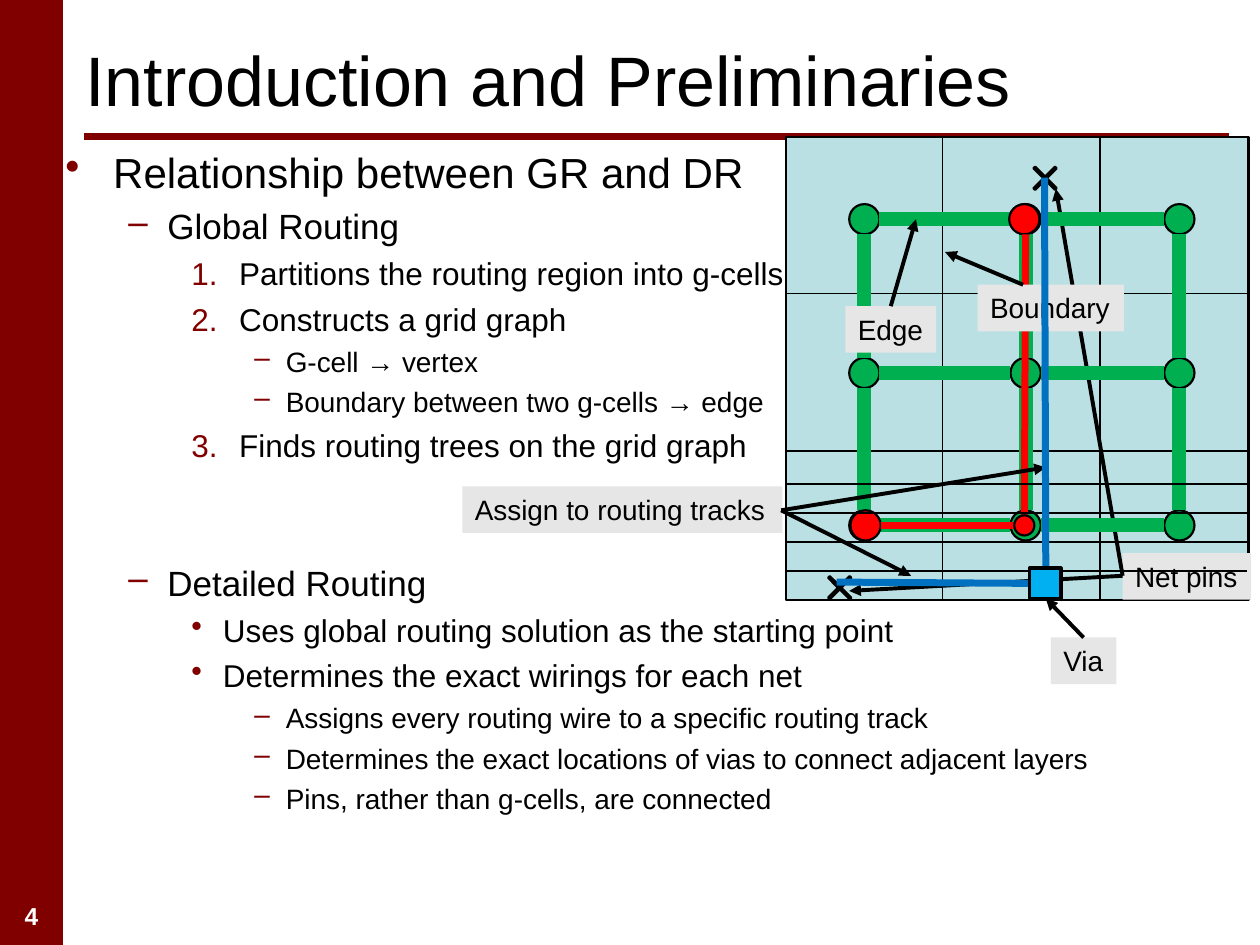
from dataclasses import dataclass

from lxml import etree
from pptx import Presentation
from pptx.dml.color import RGBColor
from pptx.enum.shapes import MSO_CONNECTOR, MSO_SHAPE
from pptx.enum.text import MSO_ANCHOR, MSO_AUTO_SIZE, PP_ALIGN
from pptx.oxml.ns import qn
from pptx.util import Inches, Pt

RECTANGLE, OVAL, CROSS = MSO_SHAPE.RECTANGLE, MSO_SHAPE.OVAL, MSO_SHAPE.MATH_MULTIPLY
STRAIGHT = MSO_CONNECTOR.STRAIGHT
MIDDLE, TOP = MSO_ANCHOR.MIDDLE, MSO_ANCHOR.TOP
LEFT, CENTER = PP_ALIGN.LEFT, PP_ALIGN.CENTER
FIT_SHAPE = MSO_AUTO_SIZE.SHAPE_TO_FIT_TEXT


@dataclass(frozen=True)
class Theme:
    font: str = "Arial"
    maroon: str = "800000"
    black: str = "000000"
    white: str = "FFFFFF"
    region: str = "BBE0E3"
    label: str = "E6E6E6"
    green: str = "00B050"
    red: str = "FF0000"
    blue: str = "0070C0"
    via: str = "00B0F0"
    title_size: int = 40
    label_size: int = 16
    number_size: int = 14
    level_sizes: tuple = (24, 20, 18, 16)
    space_ratio: float = 0.24


THEME = Theme()

# Level, bullet, left indent, hanging indent, text
OUTLINE = [
    (0, "•", 0.38, 0.38, "Relationship between GR and DR"),
    (1, "–", 0.81, 0.31, "Global Routing"),
    (2, "1.", 1.38, 0.38, "Partitions the routing region into g-cells"),
    (2, "1.", 1.38, 0.38, "Constructs a grid graph"),
    (3, "–", 1.75, 0.25, "G-cell → vertex"),
    (3, "–", 1.75, 0.25, "Boundary between two g-cells → edge"),
    (2, "1.", 1.38, 0.38, "Finds routing trees on the grid graph"),
    (1, "–", 0.81, 0.31, "Detailed Routing"),
    (2, "•", 1.25, 0.25, "Uses global routing solution as the starting point"),
    (2, "•", 1.25, 0.25, "Determines the exact wirings for each net"),
    (3, "–", 1.75, 0.25, "Assigns every routing wire to a specific routing track"),
    (3, "–", 1.75, 0.25, "Determines the exact locations of vias to connect adjacent layers"),
    (3, "–", 1.75, 0.25, "Pins, rather than g-cells, are connected"),
]
SECTION_GAP = {"Detailed Routing": 56}

NODE_XS, NODE_YS, NODE_RADIUS = (6.86, 8.14, 9.36), (1.74, 2.96, 4.17), 0.12


def set_format(target, values):
    for name, value in values.items():
        setattr(target, name, value)


def add_run(paragraph, text, size, color=THEME.black, bold=False):
    run = paragraph.add_run()
    run.text = text
    set_format(run.font, {"name": THEME.font, "size": Pt(size), "bold": bold})
    run.font.color.rgb = RGBColor.from_string(color)


def add_shape(slide, kind, left, top, width, height, fill, line_width=0):
    shape = slide.shapes.add_shape(kind, *map(Inches, (left, top, width, height)))
    shape.shadow.inherit = False
    shape.fill.solid()
    shape.fill.fore_color.rgb = RGBColor.from_string(fill)
    if line_width:
        shape.line.color.rgb = RGBColor.from_string(THEME.black)
        shape.line.width = Pt(line_width)
    else:
        shape.line.fill.background()
    return shape


def add_circle(slide, x, y, radius, fill):
    add_shape(slide, OVAL, x - radius, y - radius, 2 * radius, 2 * radius, fill, 1.25)


def add_line(slide, start, end, width, color=THEME.black, arrow=False):
    line = slide.shapes.add_connector(STRAIGHT, *map(Inches, (*start, *end)))
    line.line.color.rgb = RGBColor.from_string(color)
    line.line.width = Pt(width)
    if arrow:
        etree.SubElement(line.line._get_or_add_ln(), qn("a:tailEnd"), type="triangle")
    etree.SubElement(line._element.spPr, qn("a:effectLst"))


def add_text_box(slide, left, top, width, height, anchor):
    box = slide.shapes.add_textbox(*map(Inches, (left, top, width, height)))
    set_format(box.text_frame, {"word_wrap": True, "vertical_anchor": anchor})
    return box.text_frame


def add_label(slide, text, left, top, width, start=None, targets=()):
    shape = add_shape(slide, RECTANGLE, left, top, width, 0.37, THEME.label)
    frame = shape.text_frame
    set_format(frame, {"word_wrap": False, "auto_size": FIT_SHAPE, "vertical_anchor": TOP})
    frame.paragraphs[0].alignment = LEFT
    add_run(frame.paragraphs[0], text, THEME.label_size)
    for target in targets:
        add_line(slide, start, target, 2.25, arrow=True)


def add_bullet(paragraph, bullet, indent, hanging):
    properties = paragraph._p.get_or_add_pPr()
    properties.set("marL", str(Inches(indent)))
    properties.set("indent", str(-Inches(hanging)))
    color = etree.SubElement(properties, qn("a:buClr"))
    etree.SubElement(color, qn("a:srgbClr"), val=THEME.maroon)
    if bullet == "1.":
        etree.SubElement(properties, qn("a:buAutoNum"), type="arabicPeriod")
    else:
        etree.SubElement(properties, qn("a:buChar"), char=bullet)


def add_frame(slide):
    add_shape(slide, RECTANGLE, 0, 0, 0.5, 7.5, THEME.maroon)
    add_line(slide, (0.67, 1.08), (9.75, 1.08), 4, THEME.maroon)
    number = add_text_box(slide, 0, 7.1, 0.5, 0.33, MIDDLE).paragraphs[0]
    number.alignment = CENTER
    add_run(number, "4", THEME.number_size, THEME.white, bold=True)
    title = add_text_box(slide, 0.58, 0.08, 9.17, 1.08, MIDDLE)
    add_run(title.paragraphs[0], "Introduction and Preliminaries", THEME.title_size)


def add_outline(slide):
    frame = add_text_box(slide, 0.42, 1.08, 9.25, 6.42, TOP)
    frame.margin_top = Inches(0.08)
    for index, (level, bullet, indent, hanging, text) in enumerate(OUTLINE):
        paragraph = frame.add_paragraph() if index else frame.paragraphs[0]
        size = THEME.level_sizes[level]
        paragraph.level = level
        add_bullet(paragraph, bullet, indent, hanging)
        if index:
            paragraph.space_before = Pt(SECTION_GAP.get(text, size * THEME.space_ratio))
        add_run(paragraph, text, size)


def add_region(slide):
    add_shape(slide, RECTANGLE, 6.24, 1.09, 3.67, 3.67, THEME.region, 1.25)
    for left, top in ((6.5, 4.5), (8.13, 1.25)):
        cross = add_shape(slide, CROSS, left, top, 0.33, 0.33, THEME.black, 1.25)
        cross.adjustments[0] = 0.058
    add_label(slide, "Net pins", 8.91, 4.39, 1.02, (8.91, 4.57), [(8.38, 1.5), (6.74, 4.69)])
    # G-cell boundaries
    for step in (1, 2):
        y, x = 1.08 + 1.25 * step, 6.23 + 1.25 * step
        add_line(slide, (6.23, y), (9.9, y), 0.75)
        add_line(slide, (x, 1.08), (x, 4.75), 0.75)


def add_grid_graph(slide):
    for y in NODE_YS:
        for x in NODE_XS:
            add_circle(slide, x, y, NODE_RADIUS, THEME.green)
    for y in NODE_YS:
        for x, following in zip(NODE_XS, NODE_XS[1:]):
            add_line(slide, (x + NODE_RADIUS, y), (following - NODE_RADIUS, y), 8, THEME.green)
    for x in NODE_XS:
        for y, following in zip(NODE_YS, NODE_YS[1:]):
            add_line(slide, (x, y + NODE_RADIUS), (x, following - NODE_RADIUS), 8, THEME.green)


def add_global_route(slide):
    for x, y in ((8.13, 1.74), (6.87, 4.17)):
        add_circle(slide, x, y, NODE_RADIUS, THEME.red)
    add_line(slide, (6.99, 4.17), (8.05, 4.17), 4, THEME.red)
    add_line(slide, (8.14, 1.86), (8.13, 4.09), 4, THEME.red)
    add_circle(slide, 8.13, 4.17, 0.08, THEME.red)


def add_labels(slide):
    add_label(slide, "Edge", 6.71, 2.43, 0.72, (7.07, 2.43), [(7.27, 1.74)])
    add_label(slide, "Boundary", 7.76, 2.26, 1.16, (8.12, 2.26), [(7.5, 2)])
    add_label(slide, "Via", 8.34, 5.06, 0.52, (8.6, 5.06), [(8.3, 4.75)])
    add_label(slide, "Assign to routing tracks", 3.67, 3.86, 2.54,
              (6.2, 4.05), [(7.23, 4.57), (8.3, 3.71)])


def add_detailed_route(slide):
    # Routing tracks, then the wires and their via
    for step in range(4):
        y = 3.84 + 0.23 * step
        add_line(slide, (6.24, y), (9.9, y), 1)
    add_line(slide, (6.64, 4.62), (8.17, 4.63), 4, THEME.blue)
    add_line(slide, (8.29, 1.41), (8.3, 4.51), 4, THEME.blue)
    add_shape(slide, RECTANGLE, 8.17, 4.51, 0.25, 0.24, THEME.via, 2)


def main():
    presentation = Presentation()
    set_format(presentation, {"slide_width": Inches(10), "slide_height": Inches(7.5)})
    slide = presentation.slides.add_slide(presentation.slide_layouts[6])
    for add_part in (add_frame, add_outline, add_region, add_grid_graph,
                     add_global_route, add_labels, add_detailed_route):
        add_part(slide)
    presentation.save("out.pptx")


if __name__ == "__main__":
    main()
